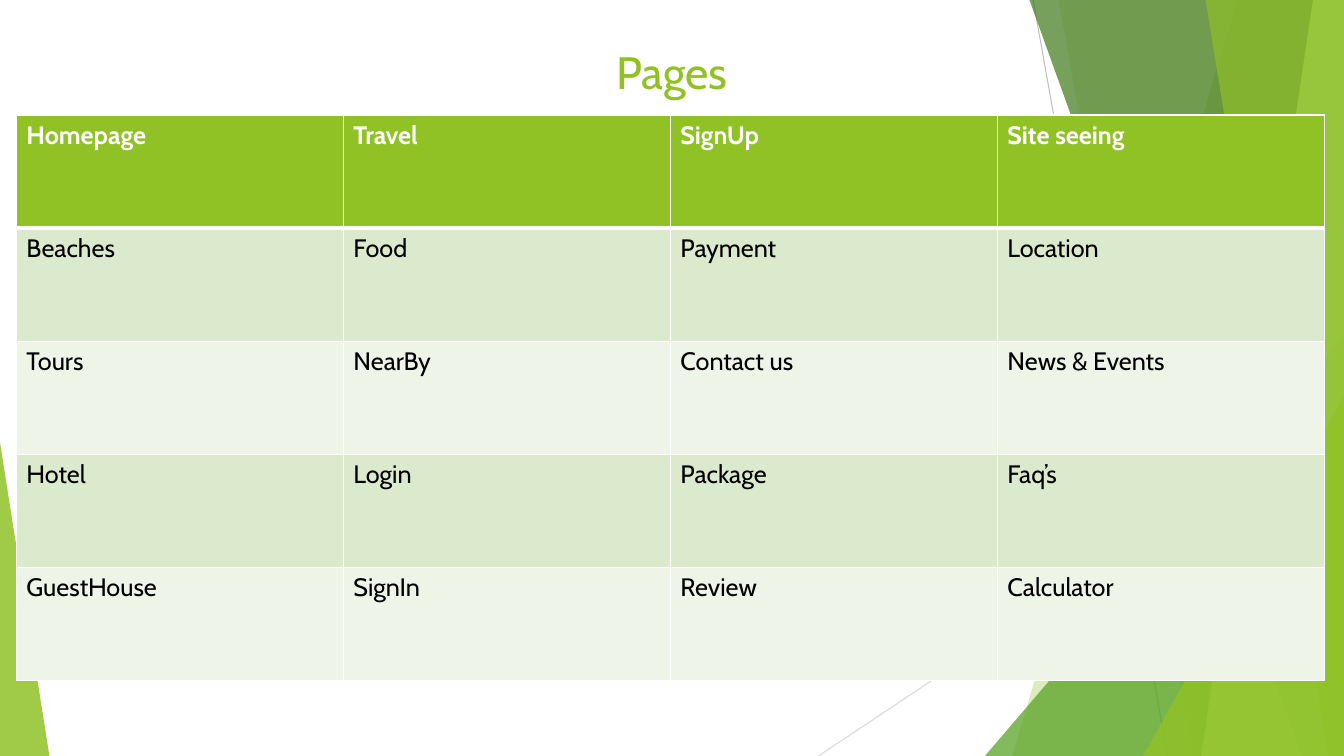
from typing import NamedTuple

from lxml import etree
from pptx import Presentation
from pptx.dml.color import RGBColor
from pptx.enum import shapes, text
from pptx.oxml import ns
from pptx.util import Pt

COLORS = {
    "lime": "90C226", "green": "54A021", "forest": "3F7819", "pale": "C0E474",
    "band_dark": "DBE9CD", "band_light": "EEF4E8", "white": "FFFFFF",
    "black": "000000", "line_dark": "BFBFBF", "line_light": "D9D9D9",
}
FONT = "Cabin"
WIDTH, HEIGHT, TOP = 960, 540, -0.72

PAGES = [
    ["Homepage", "Travel", "SignUp", "Site seeing"],
    ["Beaches", "Food", "Payment", "Location"],
    ["Tours", "NearBy", "Contact us", "News & Events"],
    ["Hotel", "Login", "Package", "Faq’s"],
    ["GuestHouse", "SignIn", "Review", "Calculator"],
]


class Ray(NamedTuple):
    start: tuple[float, float]
    end: tuple[float, float]
    color: str


class Shard(NamedTuple):
    """Panel from a slanted left edge to the right edge of the slide."""
    top_x: float
    bottom_x: float
    color: str
    opacity: int


class Wedge(NamedTuple):
    """Right triangle standing on the bottom edge; apex 0 is left, 1 right."""
    left: float
    top: float
    width: float
    apex: int
    color: str
    opacity: int


DECORATION = [
    Ray((738, 0), (834, HEIGHT), "line_dark"),
    Ray((WIDTH, 290), (584.6, HEIGHT), "line_light"),
    Shard(884, 723, "lime", 30),
    Shard(756, 852, "lime", 20),
    Wedge(703.5, 240, 256.5, 1, "green", 72),
    Shard(735, 929.5, "forest", 70),
    Shard(938, 858.5, "pale", 70),
    Shard(861, 949, "lime", 65),
    Wedge(816.5, 283, 143.5, 1, "lime", 80),
    Wedge(0, 316, 35.3, 0, "lime", 85),
]


def rgb(color: str) -> RGBColor:
    return RGBColor.from_string(COLORS[color])


def style_text(paragraph, size: float, color: str, bold: bool) -> None:
    for name, value in {"name": FONT, "size": Pt(size), "bold": bold}.items():
        setattr(paragraph.font, name, value)
    paragraph.font.color.rgb = rgb(color)


def paint(shape, color: str, opacity: int) -> None:
    shape.shadow.inherit = False
    shape.line.fill.background()
    shape.fill.solid()
    shape.fill.fore_color.rgb = rgb(color)
    srgb = shape.element.spPr.find(".//" + ns.qn("a:srgbClr"))
    etree.SubElement(srgb, ns.qn("a:alpha"), val=str(opacity * 1000))


def draw_ray(slide, ray: Ray) -> None:
    line = slide.shapes.add_connector(
        shapes.MSO_CONNECTOR.STRAIGHT, *map(Pt, ray.start + ray.end))
    line.line.color.rgb = rgb(ray.color)
    line.line.width = Pt(0.75)
    etree.SubElement(line.element.spPr, ns.qn("a:effectLst"))


def draw_shard(slide, shard: Shard) -> None:
    builder = slide.shapes.build_freeform(shard.top_x, TOP, scale=Pt(1))
    builder.add_line_segments(
        [(WIDTH, TOP), (WIDTH, HEIGHT), (shard.bottom_x, HEIGHT)], close=True)
    paint(builder.convert_to_shape(), shard.color, shard.opacity)


def draw_wedge(slide, wedge: Wedge) -> None:
    triangle = slide.shapes.add_shape(
        shapes.MSO_SHAPE.ISOSCELES_TRIANGLE, Pt(wedge.left), Pt(wedge.top),
        Pt(wedge.width), Pt(HEIGHT - wedge.top))
    triangle.adjustments[0] = wedge.apex
    paint(triangle, wedge.color, wedge.opacity)


def place_title(slide) -> None:
    title = slide.shapes.title
    box = {"left": 66, "top": 29, "width": 828, "height": 44}
    for name, value in box.items():
        setattr(title, name, Pt(value))
    frame = title.text_frame
    frame.text = "Pages"
    frame.auto_size = text.MSO_AUTO_SIZE.NONE
    frame.vertical_anchor = text.MSO_ANCHOR.MIDDLE
    heading = frame.paragraphs[0]
    heading.alignment = text.PP_ALIGN.CENTER
    style_text(heading, 32.4, "lime", False)
    title.element.getparent().append(title.element)  # in front of the shards


def add_borders(cell, top: float, bottom: float) -> None:
    properties = cell._tc.get_or_add_tcPr()
    widths = {"a:lnL": 1, "a:lnR": 1, "a:lnT": top, "a:lnB": bottom}
    for index, (tag, width) in enumerate(widths.items()):
        border = etree.Element(ns.qn(tag), w=str(Pt(width)))
        fill = etree.SubElement(border, ns.qn("a:solidFill"))
        etree.SubElement(fill, ns.qn("a:srgbClr"), val=COLORS["white"])
        properties.insert(index, border)


def draw_pages_table(slide) -> None:
    table = slide.shapes.add_table(
        len(PAGES), len(PAGES[0]), Pt(11.7), Pt(82.2), Pt(934.4), Pt(404)).table
    for row, names in enumerate(PAGES):
        header = row == 0
        band = "lime" if header else ("band_light", "band_dark")[row % 2]
        for column, name in enumerate(names):
            cell = table.cell(row, column)
            cell.text = name
            cell.fill.solid()
            cell.fill.fore_color.rgb = rgb(band)
            style_text(cell.text_frame.paragraphs[0], 18,
                       "white" if header else "black", header)
            add_borders(cell, top=3 if row == 1 else 1, bottom=3 if header else 1)


def main() -> None:
    deck = Presentation()
    deck.slide_width, deck.slide_height = Pt(WIDTH), Pt(HEIGHT)
    slide = deck.slides.add_slide(deck.slide_layouts.get_by_name("Title Only"))
    painters = {Ray: draw_ray, Shard: draw_shard, Wedge: draw_wedge}
    for part in DECORATION:
        painters[type(part)](slide, part)
    place_title(slide)
    draw_pages_table(slide)
    deck.save("out.pptx")


if __name__ == "__main__":
    main()
